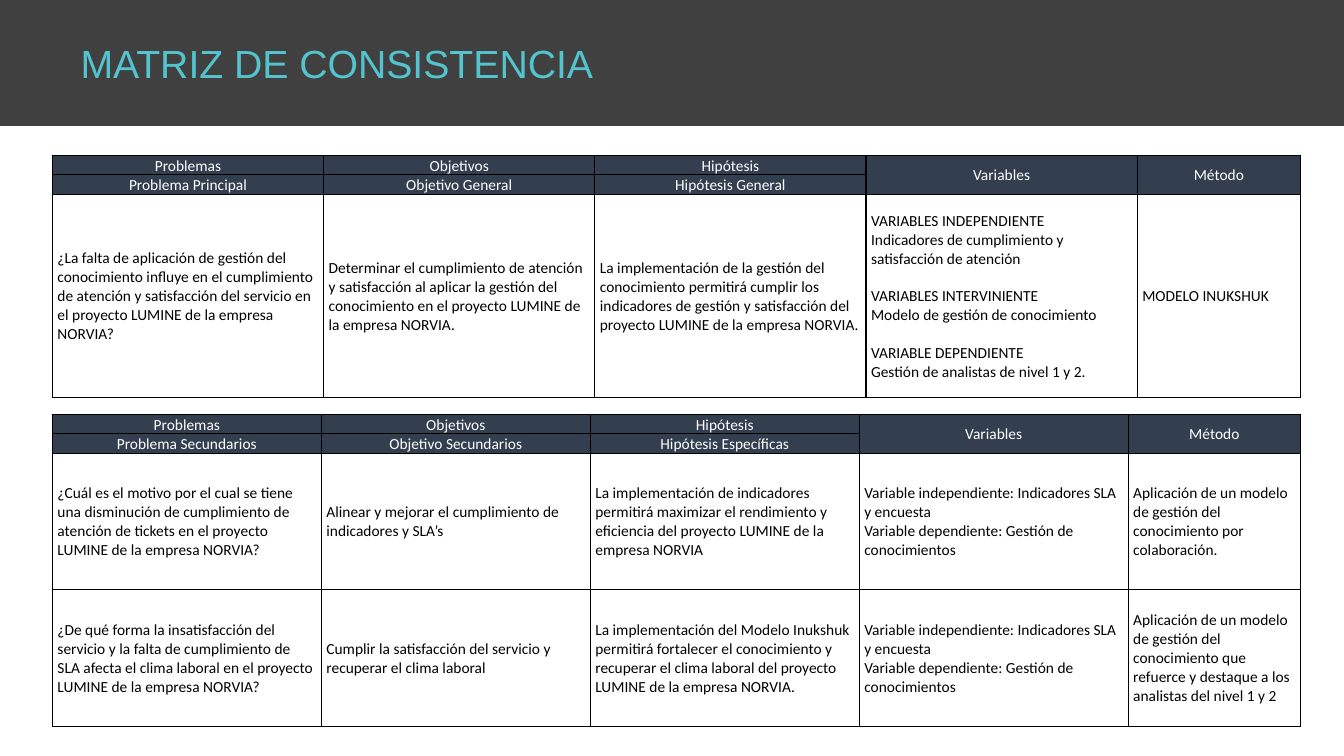
from lxml import etree
from pptx import Presentation
from pptx.dml.color import RGBColor
from pptx.enum.shapes import MSO_SHAPE
from pptx.enum.text import MSO_ANCHOR, PP_ALIGN
from pptx.oxml.ns import qn
from pptx.util import Inches, Pt

RECTANGLE = MSO_SHAPE.RECTANGLE
MIDDLE = MSO_ANCHOR.MIDDLE
CENTER, LEFT = PP_ALIGN.CENTER, PP_ALIGN.LEFT

SLIDE_W, SLIDE_H = 13.33, 7.5
BAND, TITLE, HEADER = "404040", "53C3CD", "333F4F"
WHITE, BLACK = "FFFFFF", "000000"
HEADER_ROWS = 2
HEADER_ROW_H = 0.19
LINE_GAP = 13.4  # points, one line of 11 pt Calibri
HEADINGS = ["Problemas", "Objetivos", "Hipótesis", "Variables", "Método"]

# Each body cell is a string; "\n\n" starts a new group, "\n" a new line.
SECONDARY_VARIABLES = (
    "Variable independiente: Indicadores SLA y encuesta\n"
    "Variable dependiente: Gestión de conocimientos"
)
MAIN_SUBHEADINGS = ["Problema Principal", "Objetivo General", "Hipótesis General"]
MAIN_ROWS = [[
    "¿La falta de aplicación de gestión del conocimiento influye en el cumplimiento "
    "de atención y satisfacción del servicio en el proyecto LUMINE de la empresa NORVIA?",
    "Determinar el cumplimiento de atención y satisfacción al aplicar la gestión del "
    "conocimiento en el proyecto LUMINE de la empresa NORVIA.",
    "La implementación de la gestión del conocimiento permitirá cumplir los indicadores "
    "de gestión y satisfacción del proyecto LUMINE de la empresa NORVIA.",
    "VARIABLES INDEPENDIENTE\nIndicadores de cumplimiento y satisfacción de atención\n\n"
    "VARIABLES INTERVINIENTE\nModelo de gestión de conocimiento\n\n"
    "VARIABLE DEPENDIENTE\nGestión de analistas de nivel 1 y 2.",
    "MODELO INUKSHUK",
]]
SECONDARY_SUBHEADINGS = ["Problema Secundarios", "Objetivo Secundarios", "Hipótesis Específicas"]
SECONDARY_ROWS = [
    [
        "¿Cuál es el motivo por el cual se tiene una disminución de cumplimiento de "
        "atención de tickets en el proyecto LUMINE de la empresa NORVIA?",
        "Alinear y mejorar el cumplimiento de indicadores y SLA’s",
        "La implementación de indicadores permitirá maximizar el rendimiento y eficiencia "
        "del proyecto LUMINE de la empresa NORVIA",
        SECONDARY_VARIABLES,
        "Aplicación de un modelo de gestión del conocimiento por colaboración.",
    ],
    [
        "¿De qué forma la insatisfacción del servicio y la falta de cumplimiento de SLA "
        "afecta el clima laboral en el proyecto LUMINE de la empresa NORVIA?",
        "Cumplir la satisfacción del servicio y recuperar el clima laboral",
        "La implementación del Modelo Inukshuk permitirá fortalecer el conocimiento y "
        "recuperar el clima laboral del proyecto LUMINE de la empresa NORVIA.",
        SECONDARY_VARIABLES,
        "Aplicación de un modelo de gestión del conocimiento que refuerce y destaque a "
        "los analistas del nivel 1 y 2",
    ],
]


def color(hex_value):
    return RGBColor.from_string(hex_value)


def add_run(paragraph, text, font, size, hex_value):
    run = paragraph.add_run()
    run.text = text
    run.font.name = font
    run.font.size = Pt(size)
    run.font.color.rgb = color(hex_value)


def add_title_band(slide, left, top, width, height):
    band = slide.shapes.add_shape(
        RECTANGLE, Inches(left), Inches(top), Inches(width), Inches(height))
    band.shadow.inherit = False
    band.fill.solid()
    band.fill.fore_color.rgb = color(BAND)
    band.line.fill.background()
    title = slide.shapes.add_textbox(
        Inches(left + 0.7), Inches(top + 0.34), Inches(width - 1.12), Inches(0.57))
    title.text_frame.word_wrap = True
    add_run(title.text_frame.paragraphs[0], "MATRIZ DE CONSISTENCIA", "Arial", 28, TITLE)


def set_borders(cell):
    """Draw a thin black line on all four sides of the cell."""
    properties = cell._tc.get_or_add_tcPr()
    for side in ("lnL", "lnR", "lnT", "lnB"):
        line = etree.SubElement(properties, qn(f"a:{side}"), w=str(Pt(1)))
        fill = etree.SubElement(line, qn("a:solidFill"))
        etree.SubElement(fill, qn("a:srgbClr"), val=BLACK)


def style_cell(cell, is_header):
    cell.vertical_anchor = MIDDLE
    cell.margin_left = cell.margin_right = Inches(0.05)
    cell.margin_top, cell.margin_bottom = Inches(0.01), 0
    set_borders(cell)
    if is_header:
        cell.fill.solid()
        cell.fill.fore_color.rgb = color(HEADER)
    else:
        cell.fill.background()


def write_cell(cell, text, is_header):
    frame = cell.text_frame
    for group_index, group in enumerate(text.split("\n\n")):
        paragraph = frame.add_paragraph() if group_index else frame.paragraphs[0]
        paragraph.alignment = CENTER if is_header else LEFT
        if group_index:
            paragraph.space_before = Pt(LINE_GAP)
        for line_index, line in enumerate(group.split("\n")):
            if line_index:
                paragraph.add_line_break()
            add_run(paragraph, line, "Calibri", 11, WHITE if is_header else BLACK)


def add_matrix(slide, box, method_width, subheadings, body):
    """Fill the box with a two-row header and equal body rows."""
    left, top, width, height = box
    rows = [HEADINGS, subheadings, *body]
    table = slide.shapes.add_table(
        len(rows), len(HEADINGS), *(Inches(length) for length in box)).table
    table.first_row = table.horz_banding = False

    wide_column = (width - method_width) / (len(HEADINGS) - 1)
    for index, column in enumerate(table.columns):
        is_method = index == len(HEADINGS) - 1
        column.width = Inches(method_width if is_method else wide_column)
    body_height = (height - HEADER_ROWS * HEADER_ROW_H) / len(body)
    for index, row in enumerate(table.rows):
        row.height = Inches(HEADER_ROW_H if index < HEADER_ROWS else body_height)

    for row_index, texts in enumerate(rows):
        is_header = row_index < HEADER_ROWS
        for column_index in range(len(HEADINGS)):
            cell = table.cell(row_index, column_index)
            style_cell(cell, is_header)
            if column_index < len(texts):
                write_cell(cell, texts[column_index], is_header)
    for column_index in range(len(subheadings), len(HEADINGS)):
        table.cell(0, column_index).merge(table.cell(1, column_index))


def main():
    presentation = Presentation()
    presentation.slide_width = Inches(SLIDE_W)
    presentation.slide_height = Inches(SLIDE_H)
    slide = presentation.slides.add_slide(presentation.slide_layouts[6])
    add_title_band(slide, 0, 0, SLIDE_W, SLIDE_H / 6)
    add_matrix(slide, (0.52, 1.54, 12.38, 2.4), 1.62, MAIN_SUBHEADINGS, MAIN_ROWS)
    add_matrix(slide, (0.52, 4.11, 12.38, 3.09), 1.71, SECONDARY_SUBHEADINGS, SECONDARY_ROWS)
    presentation.save("out.pptx")


if __name__ == "__main__":
    main()
